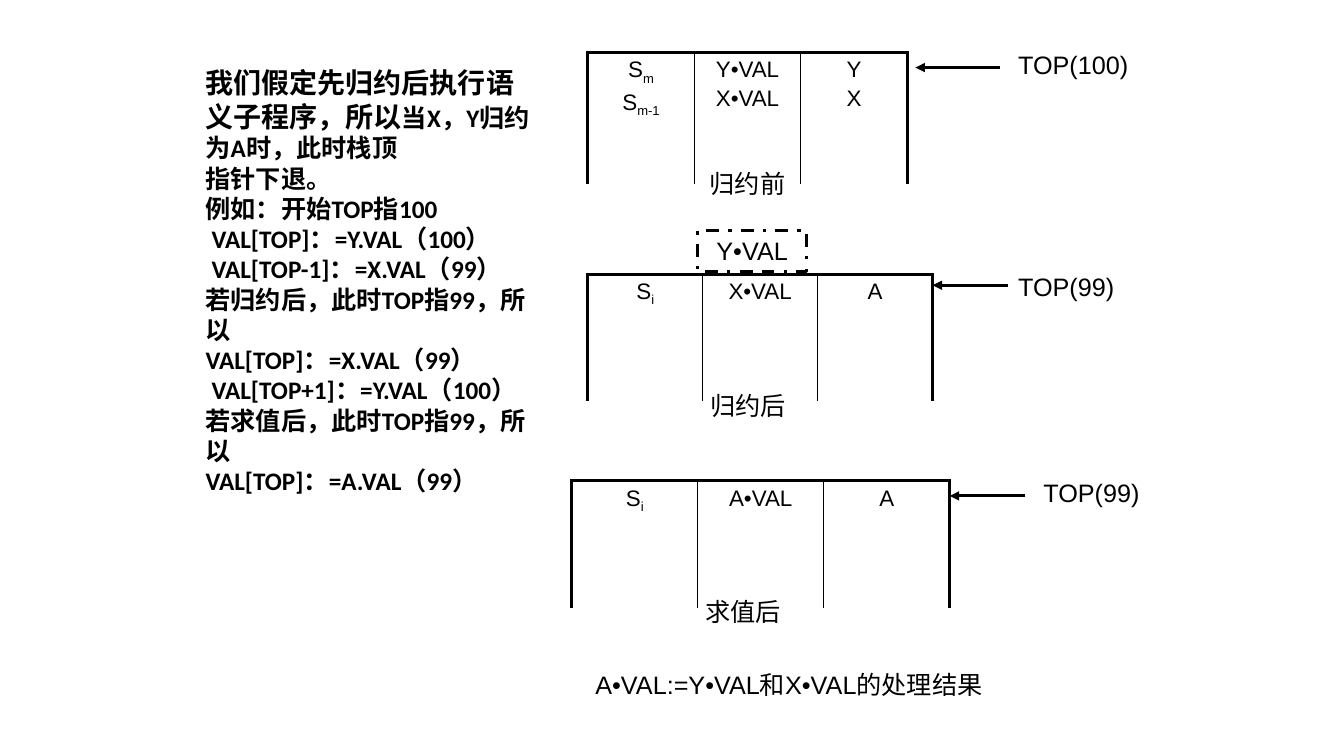
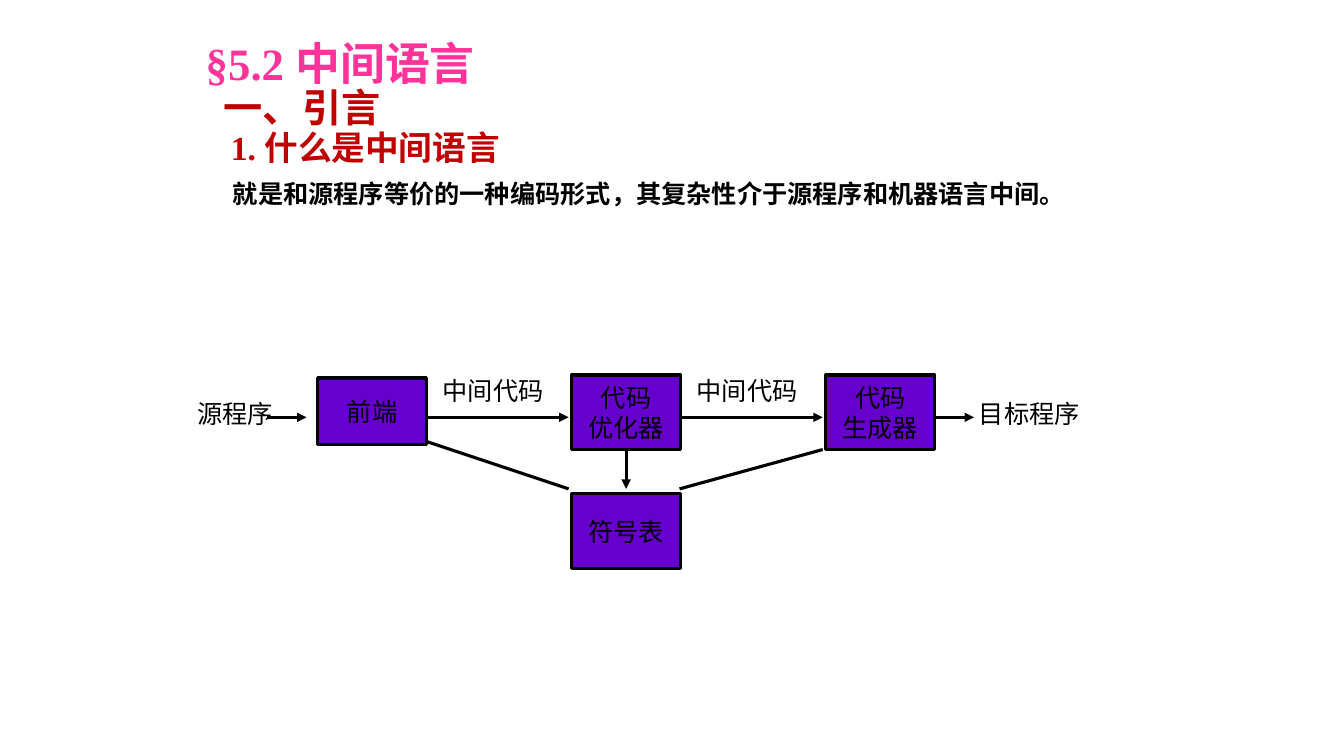
from lxml.etree import SubElement
from pptx import Presentation
from pptx.dml.color import RGBColor
from pptx.enum.dml import MSO_LINE
from pptx.enum.shapes import MSO_CONNECTOR, MSO_SHAPE
from pptx.enum.text import MSO_ANCHOR, MSO_AUTO_SIZE, PP_ALIGN
from pptx.oxml.ns import qn
from pptx.util import Inches, Pt

COLORS = {"ink": "000000", "pink": "FF3399", "red": "C00000", "box": "6600CC"}
THICK = 2.25
THIN = 1


def paint(name):
    return RGBColor.from_string(COLORS[name])


def place(*sizes):
    return [Inches(size) for size in sizes]


def write(frame, lines, size=18, face="Arial", color="ink", bold=False,
          align=PP_ALIGN.LEFT, gap=0, space=None, anchor=MSO_ANCHOR.TOP):
    frame.word_wrap = True
    frame.vertical_anchor = anchor
    for num, line in enumerate(lines):
        par = frame.paragraphs[0] if num == 0 else frame.add_paragraph()
        par.alignment = align
        par.space_before = Pt(gap if num else 0)
        if space:
            par.line_spacing = space
        for words, look in [(line, {})] if isinstance(line, str) else line:
            run = par.add_run()
            run.text = words
            font = run.font
            font.name = face
            font.size = Pt(look.get("size", size))
            font.bold = bold
            font.color.rgb = paint(look.get("color", color))
            if look.get("sub"):
                run._r.get_or_add_rPr().set("baseline", "-25000")
    return frame.paragraphs


def indent(par, left, first=0):
    props = par._p.get_or_add_pPr()
    props.set("marL", str(Inches(left)))
    props.set("indent", str(Inches(first)))
    SubElement(props, qn("a:buNone"))


def label(slide, area, *lines, **style):
    frame = slide.shapes.add_textbox(*place(*area)).text_frame
    pars = write(frame, lines, **style)
    frame.auto_size = MSO_AUTO_SIZE.SHAPE_TO_FIT_TEXT
    return pars


def block(slide, area, *lines, fill=None, dash=None, anchor=MSO_ANCHOR.MIDDLE):
    shape = slide.shapes.add_shape(MSO_SHAPE.RECTANGLE, *place(*area))
    shape.shadow.inherit = False
    if fill:
        shape.fill.solid()
        shape.fill.fore_color.rgb = paint(fill)
    else:
        shape.fill.background()
    shape.line.color.rgb = paint("ink")
    shape.line.width = Pt(THICK)
    if dash:
        shape.line.dash_style = dash
    write(shape.text_frame, lines, align=PP_ALIGN.CENTER, anchor=anchor)
    return shape


def link(slide, start, stop, head=True):
    line = slide.shapes.add_connector(MSO_CONNECTOR.STRAIGHT, *place(*start, *stop))
    line.line.color.rgb = paint("ink")
    line.line.width = Pt(THICK)
    if head:
        SubElement(line.line._get_or_add_ln(), qn("a:tailEnd"), type="triangle")
    SubElement(line._element.spPr, qn("a:effectLst"))
    return line


def border(cell, side, width):
    edge = SubElement(cell._tc.get_or_add_tcPr(), qn("a:ln" + side))
    if width:
        edge.set("w", str(Pt(width)))
        fill = SubElement(edge, qn("a:solidFill"))
        SubElement(fill, qn("a:srgbClr"), val=COLORS["ink"])
    else:
        SubElement(edge, qn("a:noFill"))


def stack(slide, area, cols):
    table = slide.shapes.add_table(1, len(cols), *place(*area)).table
    table.first_row = False
    table.horz_banding = False
    last = len(cols) - 1
    for num, lines in enumerate(cols):
        cell = table.cell(0, num)
        border(cell, "L", THIN if num else THICK)
        border(cell, "R", THIN if num < last else THICK)
        border(cell, "T", THICK)
        border(cell, "B", None)
        cell.fill.background()
        write(cell.text_frame, lines, size=16, align=PP_ALIGN.CENTER, gap=3)


def state(name):
    return [("S", {}), (name, {"sub": True})]


def stacks(slide):
    mid = PP_ALIGN.CENTER
    rows = [
        ((5.83, 0.52, 3.17, 1.31),
         [[state("m"), state("m-1")], ["Y•VAL", "X•VAL"], ["Y", "X"]],
         (9.92, 9.08, 0.67), "TOP(100)", (10, 0.44, 1.42, 0.4),
         "归约前", (6.25, 1.62, 2.33, 0.4)),
        ((5.83, 2.72, 3.42, 1.26), [[state("i")], ["X•VAL"], ["A"]],
         (10, 9.25, 2.83), "TOP(99)", (10, 2.64, 1.33, 0.4),
         "归约后", (6.42, 3.82, 2, 0.4)),
        ((5.67, 4.77, 3.75, 1.26), [[state("i")], ["A•VAL"], ["A"]],
         (10.17, 9.42, 4.92), "TOP(99)", (10.25, 4.69, 1.42, 0.4),
         "求值后", (6.58, 5.87, 1.58, 0.4)),
    ]
    for area, cols, (start, stop, top), tip, spot, name, below in rows:
        stack(slide, area, cols)
        link(slide, (start, top), (stop, top))
        label(slide, spot, tip)
        label(slide, below, name, align=mid)
    block(slide, (6.92, 2.29, 1.08, 0.4), "Y•VAL",
          dash=MSO_LINE.DASH_DOT, anchor=MSO_ANCHOR.TOP)
    label(slide, (5.67, 6.59, 4.31, 0.4), "A•VAL:=Y•VAL和X•VAL的处理结果", align=mid)
    pars = label(
        slide, (1.94, 0.6, 3.42, 4.41),
        [("我们假定先归约后执行语义子程序，所以", {"size": 20}),
         ("当X，Y归约为A时，此时栈顶", {})],
        "指针下退。",
        "例如：开始TOP指100",
        "VAL[TOP]：=Y.VAL（100）",
        "VAL[TOP-1]：=X.VAL（99）",
        "若归约后，此时TOP指99，所以",
        "VAL[TOP]：=X.VAL（99）",
        "VAL[TOP+1]：=Y.VAL（100）",
        "若求值后，此时TOP指99，所以",
        "VAL[TOP]：=A.VAL（99）",
        face="Calibri", bold=True)
    for num in (3, 4, 7):
        indent(pars[num], 0, 0.06)


def holder(shape, area, lines, lefts, **style):
    shape.left, shape.top, shape.width, shape.height = place(*area)
    frame = shape.text_frame
    frame.auto_size = MSO_AUTO_SIZE.NONE
    pars = write(frame, lines, face="Times New Roman", bold=True, space=0.9, **style)
    for par, left in zip(pars, lefts):
        indent(par, left)
    return pars


def flow(slide):
    holder(slide.shapes.title, (1.94, 0.36, 10.1, 0.5), ["§5.2 中间语言"], [0],
           size=32, color="pink")
    pars = holder(
        slide.placeholders[1], (1.94, 0.83, 10.1, 2.37),
        [[("一、引言", {"size": 28})],
         [("1. 什么是中间语言", {"size": 24})],
         [("就是和源程序等价的一种编码形式，其复杂性介于源程序和机器语言中间。",
           {"color": "ink"})]],
        [0.18, 0.25, 0.27], color="red")
    pars[2].space_before = Pt(10)

    mid = PP_ALIGN.CENTER
    step, row = 2.52, 4.14
    block(slide, (3.15, 3.75, 1.08, 0.66), "前端", fill="box")
    tools = [
        block(slide, (5.67 + step * num, 3.72, 1.08, 0.74), "代码", name, fill="box")
        for num, name in enumerate(["优化器", "生成器"])
    ]
    block(slide, (5.67, 4.9, 1.08, 0.74), "符号表", fill="box")
    for num in range(2):
        left = 4.22 + step * num
        link(slide, (left, row), (left + 1.42, row))
        label(slide, (left, 3.67, 1.34, 0.4), "中间代码", align=mid)
    for name, left, start in [("源程序", 1.7, 2.65), ("目标程序", 9.58, 9.27)]:
        label(slide, (left, 3.9, 1.26, 0.4), name, align=mid)
        link(slide, (start, row), (start + 0.39, row))
    down = link(slide, (6.21, 4.46), (6.21, 4.85))
    down.begin_connect(tools[0], 2)
    link(slide, (4.23, 4.38), (5.64, 4.85), head=False)
    link(slide, (8.16, 4.46), (6.74, 4.85), head=False)


def main():
    deck = Presentation()
    deck.slide_width, deck.slide_height = place(13.33, 7.5)
    for kind, draw in [(6, stacks), (1, flow)]:
        draw(deck.slides.add_slide(deck.slide_layouts[kind]))
    deck.save("out.pptx")


if __name__ == "__main__":
    main()
